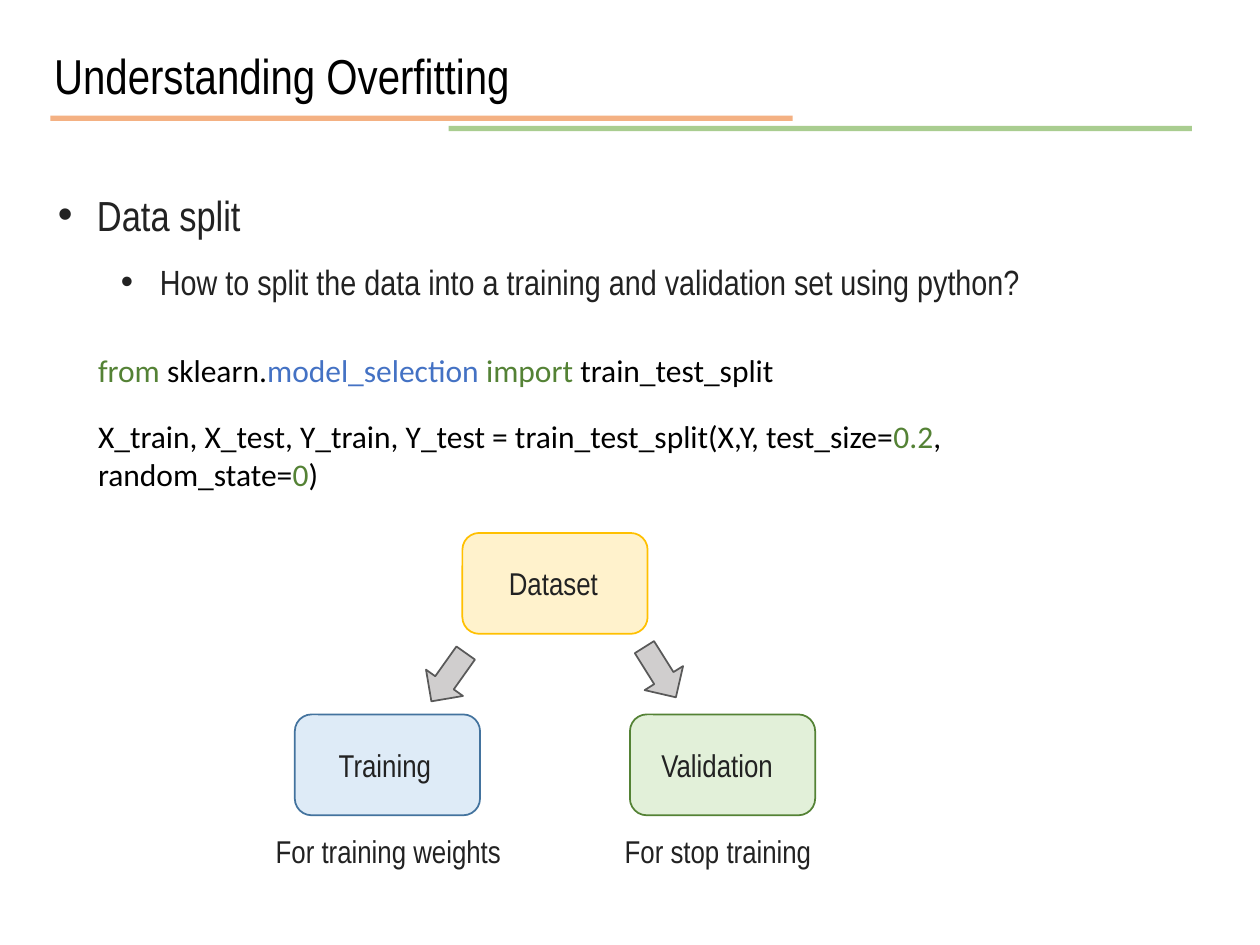
from pptx import Presentation
from pptx.dml.color import RGBColor
from pptx.enum.shapes import MSO_CONNECTOR, MSO_SHAPE
from pptx.enum.text import MSO_ANCHOR, MSO_AUTO_SIZE, PP_ALIGN
from pptx.oxml.ns import qn
from pptx.util import Inches, Pt
from lxml import etree

STRAIGHT = MSO_CONNECTOR.STRAIGHT
ROUNDED = MSO_SHAPE.ROUNDED_RECTANGLE
DOWN_ARROW = MSO_SHAPE.DOWN_ARROW
TOP = MSO_ANCHOR.TOP
GROW = MSO_AUTO_SIZE.SHAPE_TO_FIT_TEXT
LEFT = PP_ALIGN.LEFT

PAGE_WIDTH, PAGE_HEIGHT = Inches(10), Inches(7.5)
NARROW, CODE_FONT = "Arial Narrow", "Calibri"
BLACK, INK, GREEN, BLUE = "000000", "222222", "548235", "4472C4"
NODE_WIDTH, NODE_HEIGHT, LINE_HEIGHT = 14.7, 10.67, 5.33


def color(value):
    """Turn a hex string into a colour."""
    return RGBColor.from_string(value)


def across(share):
    """Convert a percentage of the slide's width to a length."""
    return int(PAGE_WIDTH * share / 100)


def down(share):
    """Convert a percentage of the slide's height to a length."""
    return int(PAGE_HEIGHT * share / 100)


def area(left, top, width, height):
    """Convert percentages of the slide to a position and size."""
    return across(left), down(top), across(width), down(height)


def place(holder, left, top, width, height):
    """Move and size a placeholder."""
    holder.left, holder.top, holder.width, holder.height = area(left, top, width, height)


def prepare(box):
    """Give a text frame wrapping, top anchoring and growth to fit."""
    frame = box.text_frame
    frame.word_wrap = True
    frame.vertical_anchor = TOP
    frame.auto_size = GROW
    return frame


def add_span(para, text, font, size, ink):
    """Append one formatted run to a paragraph."""
    span = para.add_run()
    span.text = text
    span.font.name, span.font.size = font, Pt(size)
    span.font.color.rgb = color(ink)


def set_bullet(para, margin):
    """Give a paragraph a round bullet with a hanging indent."""
    props = para._p.get_or_add_pPr()
    props.set("marL", str(Inches(margin)))
    props.set("indent", str(-Inches(0.31)))
    etree.SubElement(props, qn("a:buFont")).set("typeface", "Arial")
    etree.SubElement(props, qn("a:buChar")).set("char", "•")


def add_title(page, text):
    """Fill the title placeholder."""
    place(page.shapes.title, 3.3, 1.07, 93.4, 9.6)
    para = prepare(page.shapes.title).paragraphs[0]
    para.alignment, para.line_spacing = LEFT, 1.5
    add_span(para, text, NARROW, 28, BLACK)


def add_list(page, items):
    """Fill the body placeholder with one bullet per level."""
    body = page.placeholders[1]
    place(body, 3.6, 16.67, 95.6, 15.33)
    frame = prepare(body)
    for level, (text, size, margin) in enumerate(items):
        para = frame.add_paragraph() if level else frame.paragraphs[0]
        para.level = level
        set_bullet(para, margin)
        para.line_spacing, para.space_before = 1.5, Pt(0)
        add_span(para, text, NARROW, size, INK)


def add_text(page, left, top, width, spans, font=NARROW):
    """Add a one-paragraph text box built from coloured spans."""
    box = page.shapes.add_textbox(*area(left, top, width, LINE_HEIGHT))
    para = prepare(box).paragraphs[0]
    for text, ink in spans:
        add_span(para, text, font, 18, ink)


def add_rule(page, start, end, level, ink):
    """Draw a translucent horizontal rule."""
    rule = page.shapes.add_connector(STRAIGHT, across(start), down(level), across(end), down(level))
    rule.line.width = Pt(3)
    rule.line.color.rgb = color(ink)
    tint = rule.line._ln.find(".//" + qn("a:srgbClr"))
    etree.SubElement(tint, qn("a:alpha")).set("val", "60000")
    etree.SubElement(rule._element.spPr, qn("a:effectLst"))


def add_block(page, kind, spot, fill, edge, turn=0):
    """Draw a filled, outlined shape."""
    block = page.shapes.add_shape(kind, *area(*spot))
    block.shadow.inherit = False
    block.fill.solid()
    block.fill.fore_color.rgb = color(fill)
    block.line.color.rgb = color(edge)
    block.line.width = Pt(1)
    block.rotation = turn


def add_node(page, left, top, fill, edge, text, text_left, text_width):
    """Draw a rounded node and its label."""
    add_block(page, ROUNDED, (left, top, NODE_WIDTH, NODE_HEIGHT), fill, edge)
    label_top = top + (NODE_HEIGHT - LINE_HEIGHT) / 2
    add_text(page, text_left, label_top, text_width, [(text, INK)])


def main():
    """Build and save the slide."""
    deck = Presentation()
    deck.slide_width, deck.slide_height = PAGE_WIDTH, PAGE_HEIGHT
    page = deck.slides.add_slide(deck.slide_layouts[1])

    add_rule(page, 4, 62.9, 12.53, "ED7D31")
    add_rule(page, 35.6, 94.6, 13.6, "70AD47")
    add_title(page, "Understanding Overfitting")
    add_list(page, [
        ("Data split", 24, 0.31),
        ("How to split the data into a training and validation set using python?", 20, 0.81),
    ])

    add_text(page, 6.8, 36.53, 68.4, [
        ("from ", GREEN), ("sklearn.", BLACK), ("model_selection ", BLUE),
        ("import ", GREEN), ("train_test_split", BLACK),
    ], CODE_FONT)
    add_text(page, 6.8, 43.47, 86.4, [
        ("X_train, X_test, Y_train, Y_test = train_test_split(X,Y, test_size=", BLACK),
        ("0.2", GREEN), (", random_state=", BLACK), ("0", GREEN), (")", BLACK),
    ], CODE_FONT)

    add_node(page, 36.7, 56.4, "FFF2CC", "FFC000", "Dataset", 39.4, 9.2)
    add_node(page, 23.4, 75.6, "DEEBF7", "43739E", "Training", 25.9, 9.4)
    add_node(page, 50, 75.6, "E2F0D9", GREEN, "Validation", 51.5, 11.8)
    for left, top, turn in [(33.8, 68.53, 35.4), (50.6, 68, 327.9)]:
        add_block(page, DOWN_ARROW, (left, top, 3.6, 6.27), "D0CECE", "595959", turn)
    add_text(page, 20.9, 87.4, 21, [("For training weights", INK)])
    add_text(page, 48.6, 87.4, 21, [("For stop training", INK)])

    deck.save("out.pptx")


if __name__ == "__main__":
    main()
